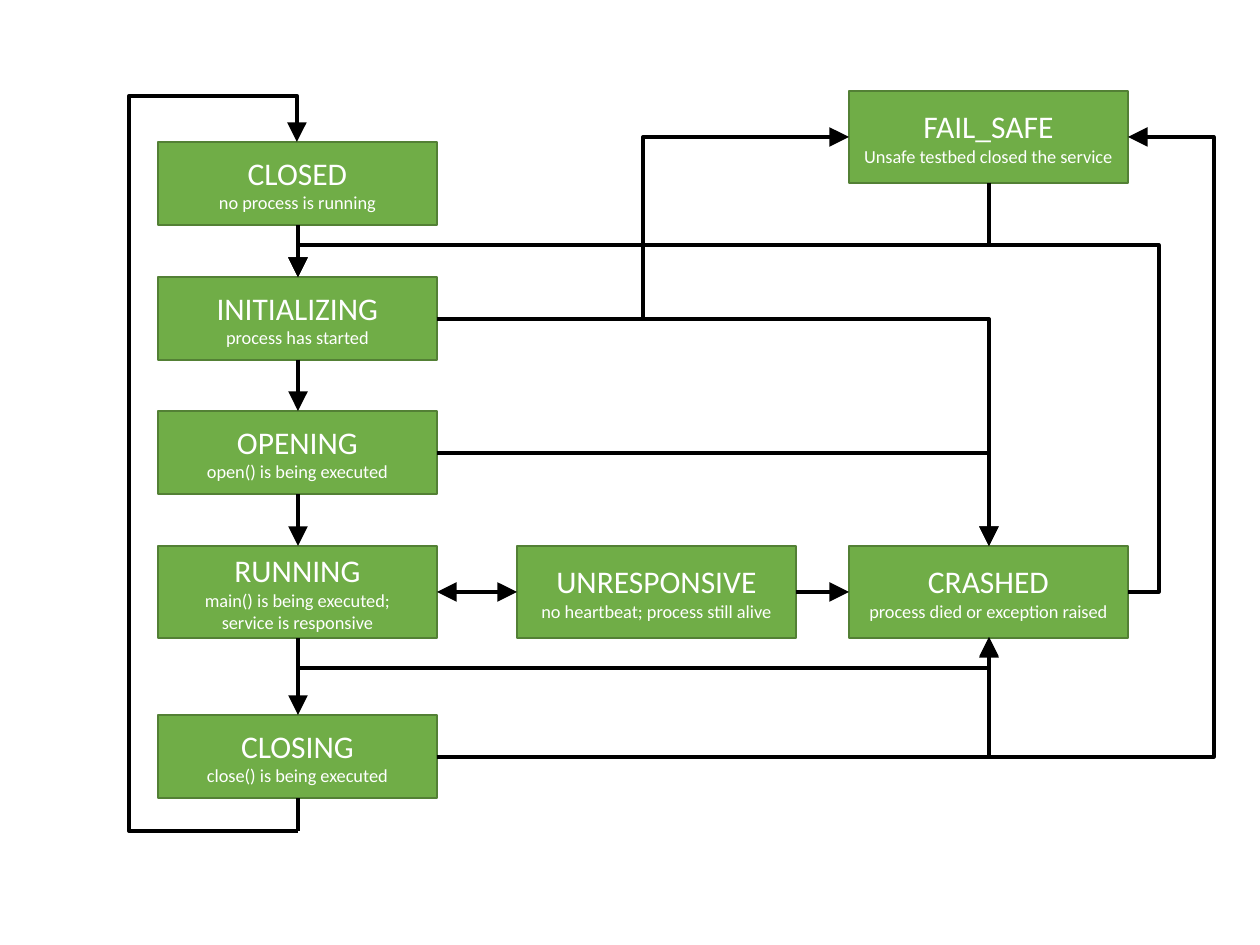
"""Build the service life-cycle state diagram."""
from lxml.etree import SubElement
from pptx import Presentation
from pptx.dml.color import RGBColor
from pptx.enum.shapes import MSO_CONNECTOR, MSO_SHAPE
from pptx.enum.text import MSO_ANCHOR, PP_ALIGN
from pptx.oxml.ns import qn
from pptx.util import Inches, Pt

PX = Inches(1) // 126
COLORS = {"box": "70AD47", "edge": "538035", "text": "FFFFFF", "arrow": "000000"}
FONT = "Calibri"
BOX_W, LOW, TALL = 279, 83, 92
LEFT, MIDDLE, RIGHT = 158, 517, 849
LOOP_START = [298, 831]

STATES = {
    "CLOSED": (LEFT, 142, LOW, ["no process is running"]),
    "INITIALIZING": (LEFT, 277, LOW, ["process has started"]),
    "OPENING": (LEFT, 411, LOW, ["open() is being executed"]),
    "RUNNING": (LEFT, 546, TALL, ["main() is being executed;", "service is responsive"]),
    "CLOSING": (LEFT, 715, LOW, ["close() is being executed"]),
    "UNRESPONSIVE": (MIDDLE, 546, TALL, ["no heartbeat; process still alive"]),
    "CRASHED": (RIGHT, 546, TALL, ["process died or exception raised"]),
    "FAIL_SAFE": (RIGHT, 91, TALL, ["Unsafe testbed closed the service"]),
}
STRAIGHT = [
    ("CLOSED", "bottom", "INITIALIZING", "top", ["tail"]),
    ("INITIALIZING", "bottom", "OPENING", "top", ["tail"]),
    ("OPENING", "bottom", "RUNNING", "top", ["tail"]),
    ("RUNNING", "bottom", "CLOSING", "top", ["tail"]),
    ("UNRESPONSIVE", "right", "CRASHED", "left", ["tail"]),
    ("RUNNING", "right", "UNRESPONSIVE", "left", ["head", "tail"]),
]
BENT = [
    ("CLOSING", "right", "CRASHED", "bottom", []),
    ("OPENING", "right", "CRASHED", "top", []),
    ("INITIALIZING", "right", "CRASHED", "top", []),
    ("RUNNING", "bottom", "CRASHED", "bottom", [668]),
    ("CRASHED", "right", "INITIALIZING", "top", [1159, 245]),
    ("CLOSING", "right", "FAIL_SAFE", "right", [1214]),
    ("INITIALIZING", "right", "FAIL_SAFE", "left", [643]),
    ("FAIL_SAFE", "bottom", "INITIALIZING", "top", [245]),
]


def rgb(name):
    return RGBColor.from_string(COLORS[name])


def site(state, side):
    x, y, h, _ = STATES[state]
    center, middle = x + (BOX_W + 1) // 2, y + (h + 1) // 2
    return {
        "top": [center, y],
        "bottom": [center, y + h],
        "left": [x, middle],
        "right": [x + BOX_W, middle],
    }[side]


def add_state(slide, name):
    x, y, h, details = STATES[name]
    sp = slide.shapes.add_shape(
        MSO_SHAPE.FLOWCHART_PROCESS, x * PX, y * PX, BOX_W * PX, h * PX)
    sp.shadow.inherit = False
    sp.fill.solid()
    sp.fill.fore_color.rgb = rgb("box")
    sp.line.color.rgb = rgb("edge")
    sp.line.width = Pt(1)
    tf = sp.text_frame
    tf.word_wrap = True
    tf.vertical_anchor = MSO_ANCHOR.MIDDLE
    tf.text = "\n".join([name] + details)
    for i, p in enumerate(tf.paragraphs):
        p.alignment = PP_ALIGN.CENTER
        p.font.name = FONT
        p.font.size = Pt(10.5 if i else 18)
        p.font.color.rgb = rgb("text")


def add_line(slide, kind, start, end, arrows):
    c = slide.shapes.add_connector(kind, *(v * PX for v in start + end))
    c.line.color.rgb = rgb("arrow")
    c.line.width = Pt(2.25)
    ln = c.line._get_or_add_ln()
    for arrow in arrows:
        SubElement(ln, qn(f"a:{arrow}End"), type="triangle", w="lg", len="lg")
    SubElement(c._element.spPr, qn("a:effectLst"))
    return c


def add_bent(slide, start, end, turns):
    """Turns are page positions, x and y in alternation."""
    end = [e - 1 if e == s else e for s, e in zip(start, end)]
    c = add_line(slide, MSO_CONNECTOR.ELBOW, start, end, ["tail"])
    geom = c._element.spPr.find(qn("a:prstGeom"))
    geom.set("prst", f"bentConnector{len(turns) + 2}")
    guides = geom.find(qn("a:avLst"))
    if guides is None:
        guides = SubElement(geom, qn("a:avLst"))
    for i, turn in enumerate(turns):
        s, e = start[i % 2], end[i % 2]
        ratio = round((turn - s) / (e - s) * 100000)
        SubElement(guides, qn("a:gd"), name=f"adj{i + 1}", fmla=f"val {ratio}")


prs = Presentation()
prs.slide_width, prs.slide_height = Inches(10), Inches(7.5)
slide = prs.slides.add_slide(prs.slide_layouts[6])
for state in STATES:
    add_state(slide, state)
for src, out, dst, into, arrows in STRAIGHT:
    add_line(slide, MSO_CONNECTOR.STRAIGHT, site(src, out), site(dst, into), arrows)
for src, out, dst, into, turns in BENT:
    start = site(src, out)
    lead = [start[0]] if out == "bottom" else []
    add_bent(slide, start, site(dst, into), lead + turns)
add_line(slide, MSO_CONNECTOR.STRAIGHT, site("CLOSING", "bottom"), LOOP_START, [])
add_bent(slide, LOOP_START, site("CLOSED", "top"), [128, 96])
prs.save("out.pptx")
